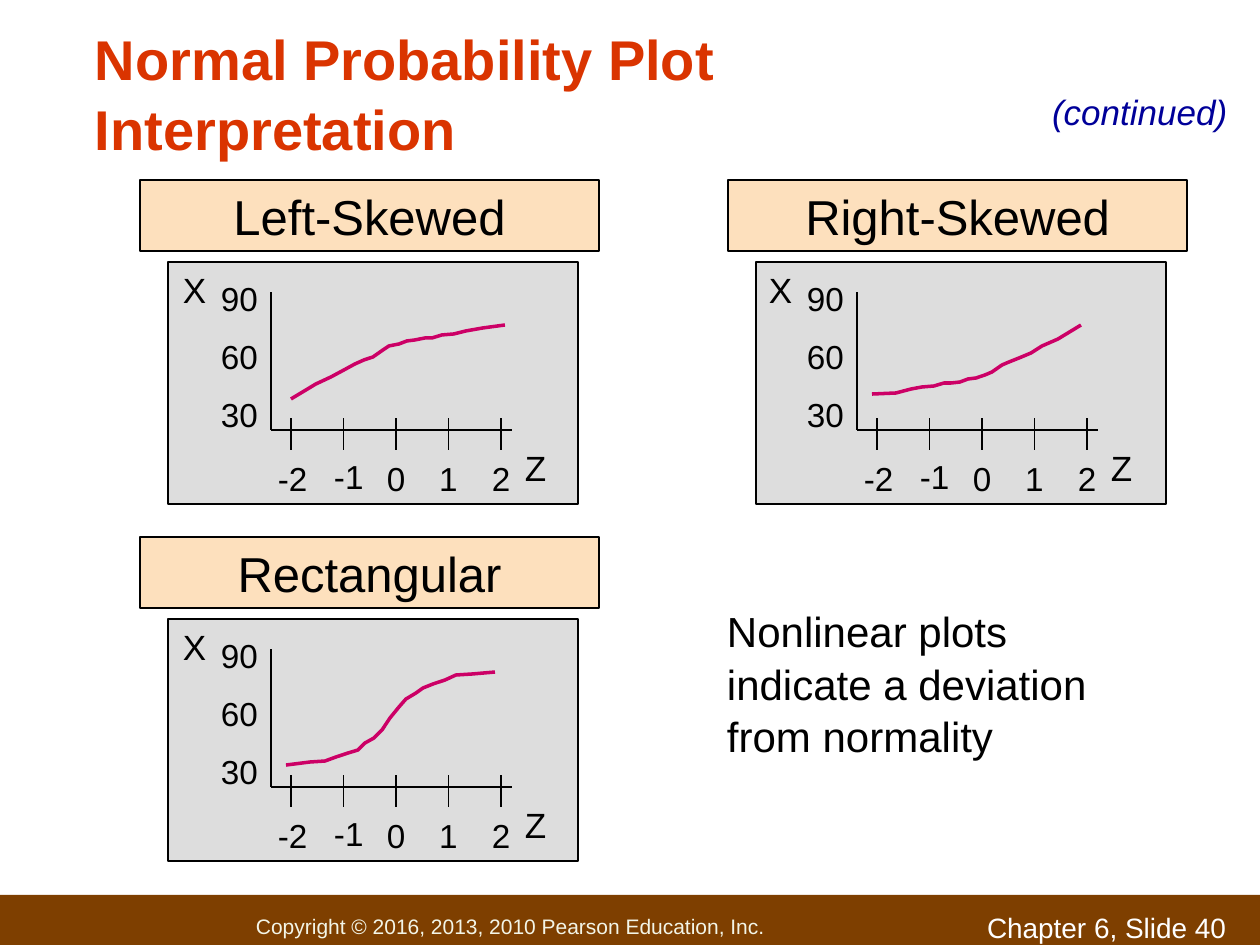
from lxml import etree
from pptx import Presentation
from pptx.dml.color import RGBColor
from pptx.enum.shapes import MSO_CONNECTOR, MSO_SHAPE
from pptx.enum.text import MSO_ANCHOR, MSO_AUTO_SIZE, PP_ALIGN
from pptx.oxml.ns import qn
from pptx.util import Pt

RECTANGLE = MSO_SHAPE.RECTANGLE
STRAIGHT = MSO_CONNECTOR.STRAIGHT
TOP, MIDDLE, BOTTOM = MSO_ANCHOR.TOP, MSO_ANCHOR.MIDDLE, MSO_ANCHOR.BOTTOM
LEFT, CENTER = PP_ALIGN.LEFT, PP_ALIGN.CENTER
NO_FIT = MSO_AUTO_SIZE.NONE

EMU_PER_PX = 914400 / 126
BLACK, WHITE = "000000", "FFFFFF"

# Curve points, relative to the axis line and the top of the panel
LEFT_SKEW_X = [20, 45, 60, 73, 84, 93, 102, 112, 118, 128,
               136, 144, 154, 161, 171, 183, 195, 212, 234]
LEFT_SKEW_Y = [137, 122, 115, 108, 102, 98, 95, 88, 84, 82,
               79, 78, 76, 76, 73, 72, 69, 66, 63]
SHARED_X = [15, 39, 54, 65, 77, 87, 94, 103, 111, 119,
            128, 135, 145, 152, 162, 174, 185, 201, 224]
RIGHT_SKEW_Y = [132, 131, 127, 125, 124, 121, 121, 120, 117, 116,
                113, 110, 103, 100, 96, 91, 84, 77, 63]
RECTANGULAR_Y = [146, 143, 142, 138, 134, 131, 124, 119, 111, 99,
                 88, 80, 74, 69, 65, 61, 56, 55, 53]

# Heading, heading left, axis left, panel top, curve x, curve y
PANELS = [
    ("Left-Skewed", 140, 271, 262, LEFT_SKEW_X, LEFT_SKEW_Y),
    ("Right-Skewed", 728, 857, 262, SHARED_X, RIGHT_SKEW_Y),
    ("Rectangular", 140, 271, 619, SHARED_X, RECTANGULAR_Y),
]
# Text, offset from the axis, offset from the panel top, width
Z_LABELS = [("-2", -6, 190, 54), ("-1", 50, 188, 54),
            ("0", 103, 190, 43), ("1", 155, 190, 43), ("2", 208, 190, 43)]


def px(length):
    return round(length * EMU_PER_PX)


def color(hex_string):
    return RGBColor.from_string(hex_string)


class SlideBuilder:
    font_name = "Arial"
    insets = (13, 6, 13, 6)

    def __init__(self, slide):
        self.slide = slide
        self.shapes = slide.shapes

    def fill_text(self, shape, text, size, ink=BLACK, align=LEFT, anchor=TOP, wrap=True,
                  bold=False, italic=False, spacing=None, insets=insets):
        frame = shape.text_frame
        frame.text = text
        frame.word_wrap = wrap
        frame.auto_size = NO_FIT
        frame.vertical_anchor = anchor
        (frame.margin_left, frame.margin_top,
         frame.margin_right, frame.margin_bottom) = map(px, insets)
        paragraph = frame.paragraphs[0]
        paragraph.alignment = align
        paragraph.line_spacing = spacing
        font = paragraph.font
        font.name, font.size = self.font_name, Pt(size)
        font.bold, font.italic = bold, italic
        font.color.rgb = color(ink)

    def title(self, text, x, y, w, h, size, **style):
        heading = self.shapes.title
        heading.left, heading.top, heading.width, heading.height = map(px, (x, y, w, h))
        self.fill_text(heading, text, size, **style)

    def text(self, text, x, y, w, h, size, **style):
        self.fill_text(self.shapes.add_textbox(*map(px, (x, y, w, h))), text, size, **style)

    def box(self, x, y, w, h, fill, line_width=None):
        rectangle = self.shapes.add_shape(RECTANGLE, *map(px, (x, y, w, h)))
        rectangle.shadow.inherit = False
        rectangle.fill.solid()
        rectangle.fill.fore_color.rgb = color(fill)
        if line_width is None:
            rectangle.line.fill.background()
        else:
            rectangle.line.color.rgb = color(BLACK)
            rectangle.line.width = Pt(line_width)
        return rectangle

    def line(self, x1, y1, x2, y2):
        connector = self.shapes.add_connector(STRAIGHT, *map(px, (x1, y1, x2, y2)))
        connector.line.color.rgb = color(BLACK)
        connector.line.width = Pt(1)
        etree.SubElement(connector._element.spPr, qn("a:effectLst"))

    def curve(self, points):
        start, *rest = points
        builder = self.shapes.build_freeform(*start, scale=EMU_PER_PX)
        builder.add_line_segments(rest, close=False)
        outline = builder.convert_to_shape()
        outline.shadow.inherit = False
        outline.fill.background()
        outline.line.color.rgb = color("CC0066")
        outline.line.width = Pt(2)

    def panel(self, heading, left, axis, top, curve_x, curve_y):
        # Heading and background
        heading_box = self.box(left, top - 82, 459, 71, "FDE0BD", 1)
        self.fill_text(heading_box, heading, 28, align=CENTER)
        self.box(left + 28, top, 410, 242, "DDDDDD", 0.75)

        # Axes and ticks
        self.line(axis, top + 168, axis + 241, top + 168)
        self.line(axis, top + 168, axis, top + 30)
        for i in range(5):
            tick = axis + 20 + i * 52.5
            self.line(tick, top + 188, tick, top + 156)

        self.curve([(axis + x, top + y) for x, y in zip(curve_x, curve_y)])

        # Axis labels
        for i, value in enumerate(("90", "60", "30")):
            self.text(value, axis - 63, top + 10 + i * 58, 62, 52, 19, wrap=False)
        for value, dx, dy, width in Z_LABELS:
            self.text(value, axis + dx, top + dy, width, 52, 19, wrap=False)
        self.text("X", axis - 101, top, 48, 54, 20, wrap=False)
        self.text("Z", axis + 241, top + 178, 47, 54, 20, wrap=False)


def main():
    presentation = Presentation()
    presentation.slide_width, presentation.slide_height = px(1260), px(945)
    slide = presentation.slides.add_slide(presentation.slide_layouts[5])
    builder = SlideBuilder(slide)

    # Footer
    footer = builder.box(0, 895, 1260, 62, "7E3F00")
    builder.fill_text(footer, "Copyright © 2016, 2013, 2010 Pearson Education, Inc.", 12,
                      ink="F3F5E7", anchor=MIDDLE, insets=(256, 0, 0, 0))
    builder.text("Chapter 6, Slide 40", 974, 905, 286, 33, 16, ink=WHITE)

    # Title
    builder.title("Normal Probability Plot\vInterpretation", 84, 31, 1092, 137, 32,
                  ink="DA3400", anchor=BOTTOM, bold=True, spacing=1.04,
                  insets=(11, 6, 11, 6))
    builder.text("(continued)", 1039, 84, 221, 55, 20, ink="000099", italic=True)

    # Probability plots
    for panel in PANELS:
        builder.panel(*panel)

    # Conclusion
    builder.text("Nonlinear plots indicate a deviation from normality",
                 714, 598, 462, 164, 24, spacing=1.04)

    presentation.save("out.pptx")


if __name__ == "__main__":
    main()
